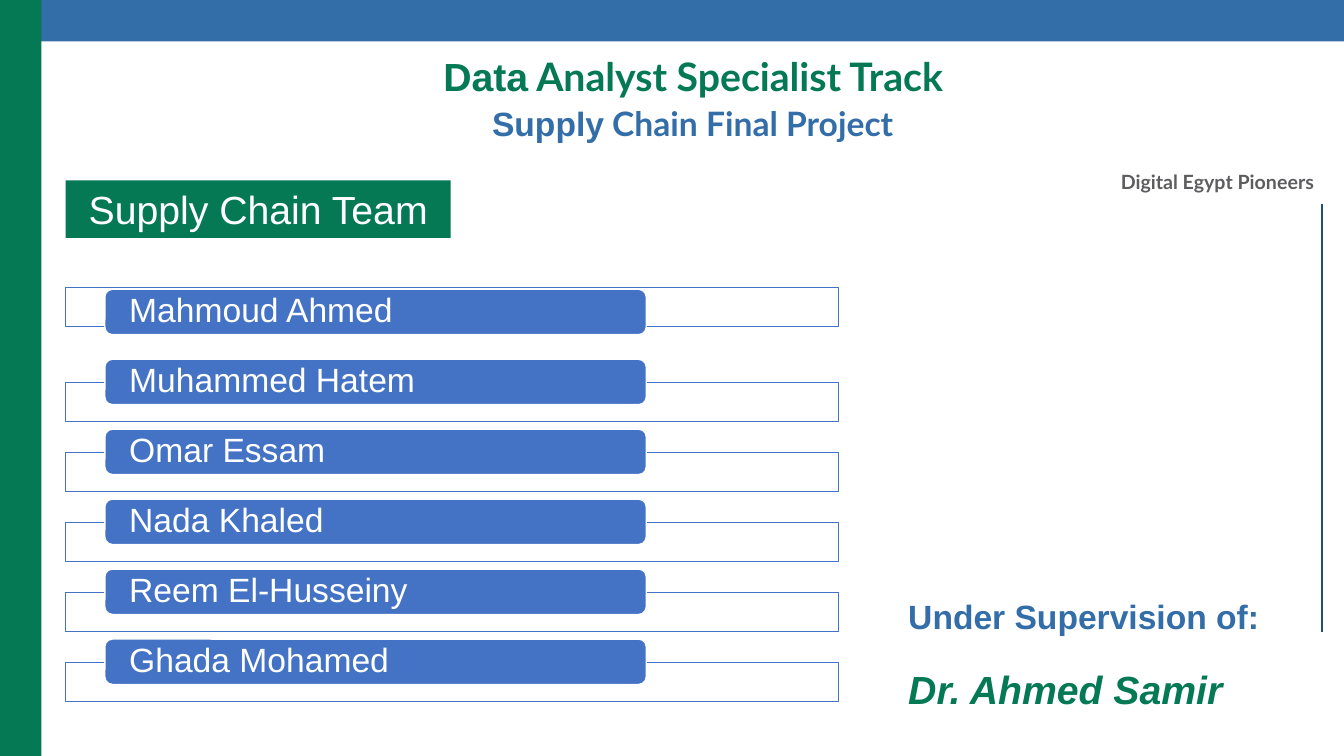
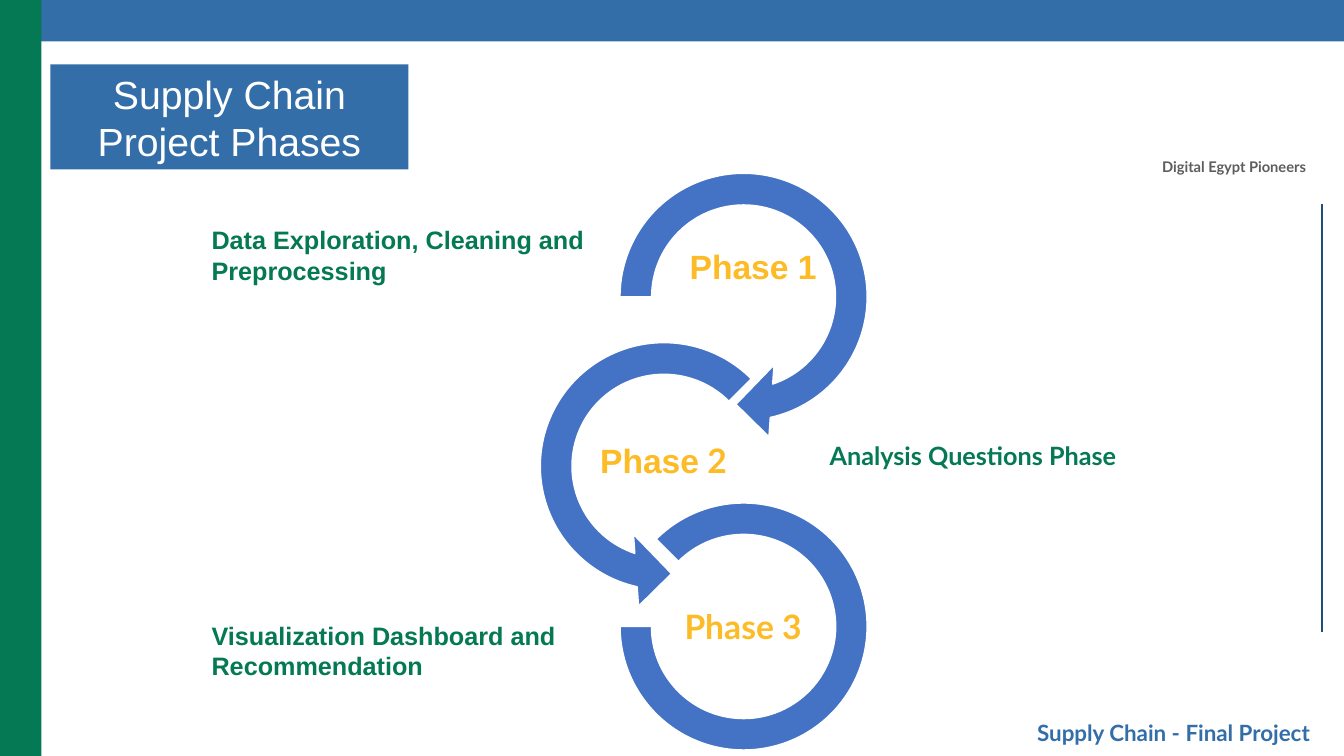
from lxml.etree import SubElement
from pptx import Presentation
from pptx.dml.color import RGBColor
from pptx.enum.shapes import MSO_CONNECTOR, MSO_SHAPE
from pptx.enum.text import MSO_ANCHOR, PP_ALIGN
from pptx.oxml.ns import qn
from pptx.util import Inches, Pt

GREEN, BLUE, ACCENT = "047954", "336EA8", "4472C4"
WHITE, GRAY, NAVY, YELLOW = "FFFFFF", "5D5D5F", "1F4E79", "FDBB25"
ARIAL, LATO = "Arial", "Lato"
LEFT, CENTER = PP_ALIGN.LEFT, PP_ALIGN.CENTER

PROGRAM = "Digital Egypt Pioneers"

# A line of text is a list of (words, font) runs.
TRACK = [("Data", ARIAL), (" Analyst Specialist Track", LATO)]
PROJECT = [("Supply", ARIAL), (" Chain Final Project", LATO)]
TEAM = ["Mahmoud Ahmed", "Muhammed Hatem", "Omar Essam",
        "Nada Khaled", "Reem El-Husseiny", "Ghada Mohamed"]

# Preset, box and adjustments of each arrow, then its label and box
PHASES = [
    (MSO_SHAPE.CIRCULAR_ARROW, (5.95, 1.52, 2.85, 2.85),
     (0.11, 11.42, 45, 108, 0.125),
     [("Phase 1", ARIAL)], (6.68, 2.27, 1.58, 0.79)),
    (MSO_SHAPE.LEFT_CIRCULAR_ARROW, (5.16, 3.2, 2.85, 2.85),
     (0.11, 11.42, 63, 189, 0.125),
     [("Phase", ARIAL), (" 2", LATO)], (5.79, 4.19, 1.58, 0.79)),
    (MSO_SHAPE.BLOCK_ARC, (6.15, 4.99, 2.45, 2.45),
     (135, 108, 0.127),
     [("Phase 3", LATO)], (6.58, 5.84, 1.58, 0.79)),
]
DESCRIPTIONS = [
    ((2, 2.18, 4.44, 1.01),
     [[("Data Exploration, Cleaning and Preprocessing", ARIAL)]]),
    ((8.13, 4.32, 4.28, 0.4), [[("Analysis Questions Phase", LATO)]]),
    ((2, 6.1, 6.89, 0.71),
     [[("Visualization Dashboard and", ARIAL)], [("Recommendation", ARIAL)]]),
]


def rgb(color):
    return RGBColor.from_string(color)


def inches(box):
    return [Inches(v) for v in box]


def write(sp, lines, size, color, bold=False, align=CENTER,
          anchor=MSO_ANCHOR.TOP, inset=(0.1, 0.05), spacing=None):
    """Fill a shape with lines of runs; inset is (sides, top and bottom)."""
    tf = sp.text_frame
    tf.word_wrap = True
    tf.vertical_anchor = anchor
    tf.margin_left = tf.margin_right = Inches(inset[0])
    tf.margin_top = tf.margin_bottom = Inches(inset[1])
    for i, line in enumerate(lines):
        p = tf.add_paragraph() if i else tf.paragraphs[0]
        p.alignment = align
        p.line_spacing = spacing
        p.font.size = Pt(size)
        p.font.bold = bold
        p.font.color.rgb = rgb(color)
        p.font.name = line[0][1]
        for words, font in line:
            r = p.add_run()
            r.text = words
            if font != p.font.name:
                r.font.name = font
    return tf


def add_text(s, box, lines, size, color, **style):
    return write(s.shapes.add_textbox(*inches(box)), lines, size, color, **style)


def add_block(s, preset, box, fill, line=None):
    sp = s.shapes.add_shape(preset, *inches(box))
    sp.shadow.inherit = False
    sp.fill.solid()
    sp.fill.fore_color.rgb = rgb(fill)
    if line:
        sp.line.color.rgb = rgb(line)
        sp.line.width = Pt(1)
    else:
        sp.line.fill.background()
    return sp


def add_heading(s, box, text, fill):
    sp = add_block(s, MSO_SHAPE.RECTANGLE, box, fill)
    write(sp, [[(text, ARIAL)]], 28, WHITE, anchor=MSO_ANCHOR.MIDDLE)


def add_base(prs, program_box, program_size):
    """Add a slide with the bands, the side rule and the program name."""
    s = prs.slides.add_slide(prs.slide_layouts[6])
    add_block(s, MSO_SHAPE.RECTANGLE, (0, 0, 13.33, 0.41), BLUE)
    add_block(s, MSO_SHAPE.RECTANGLE, (0, 0, 0.41, 7.5), GREEN)
    rule = s.shapes.add_connector(MSO_CONNECTOR.STRAIGHT,
                                  *inches((13.11, 2.02, 13.11, 6.27)))
    rule.line.color.rgb = rgb(NAVY)
    rule.line.width = Pt(1.5)
    SubElement(rule.line._get_or_add_ln().getparent(), qn("a:effectLst"))
    add_text(s, program_box, [[(PROGRAM, LATO)]], program_size, GRAY, bold=True)
    return s


def add_team_slide(prs):
    s = add_base(prs, (10.95, 1.64, 2.25, 0.48), 14)
    add_text(s, (2.51, 0.47, 8.73, 0.57), [TRACK], 28, GREEN, bold=True)
    add_text(s, (2.11, 0.97, 9.52, 0.5), [PROJECT], 24, BLUE, bold=True)
    add_heading(s, (0.65, 1.79, 3.82, 0.57), "Supply Chain Team", GREEN)

    first, last = 2.87, 6.34
    pitch = (last - first) / (len(TEAM) - 1)
    for i, member in enumerate(TEAM):
        top = first + i * pitch
        frame_top = top + 0.23 if i else 2.85
        add_block(s, MSO_SHAPE.RECTANGLE, (0.65, frame_top, 7.67, 0.39),
                  WHITE, ACCENT)
        pill = add_block(s, MSO_SHAPE.ROUNDED_RECTANGLE, (1.04, top, 5.37, 0.45),
                         ACCENT, WHITE)
        write(pill, [[(member, ARIAL)]], 24, WHITE, align=LEFT,
              anchor=MSO_ANCHOR.MIDDLE, inset=(0.22, 0), spacing=0.9)

    tf = add_text(s, (8.91, 5.86, 3.77, 1.28),
                  [[("Under Supervision of:", ARIAL)], [("Dr. Ahmed Samir", ARIAL)]],
                  24, BLUE, bold=True, align=LEFT)
    p = tf.paragraphs[1]
    p.space_before = Pt(21)
    p.font.size = Pt(28)
    p.font.italic = True
    p.font.color.rgb = rgb(GREEN)


def add_phases_slide(prs):
    s = add_base(prs, (11.23, 1.52, 2.02, 0.42), 10.5)
    add_heading(s, (0.5, 0.64, 3.55, 1.04), "Supply Chain Project Phases", BLUE)
    for preset, box, adjustments, label, label_box in PHASES:
        arrow = add_block(s, preset, box, ACCENT, WHITE)
        for i, value in enumerate(adjustments):
            arrow.adjustments[i] = value
        add_text(s, label_box, [label], 24, YELLOW, bold=True,
                 anchor=MSO_ANCHOR.MIDDLE, inset=(0.02, 0.02), spacing=0.9)
    for box, lines in DESCRIPTIONS:
        add_text(s, box, lines, 18, GREEN, bold=True, align=LEFT)
    add_text(s, (9.5, 7.09, 4.28, 0.37),
             [[("Supply Chain - Final Project", LATO)]], 16, BLUE, bold=True)


def main():
    prs = Presentation()
    prs.slide_width, prs.slide_height = Inches(13.33), Inches(7.5)
    add_team_slide(prs)
    add_phases_slide(prs)
    prs.save("out.pptx")


if __name__ == "__main__":
    main()
